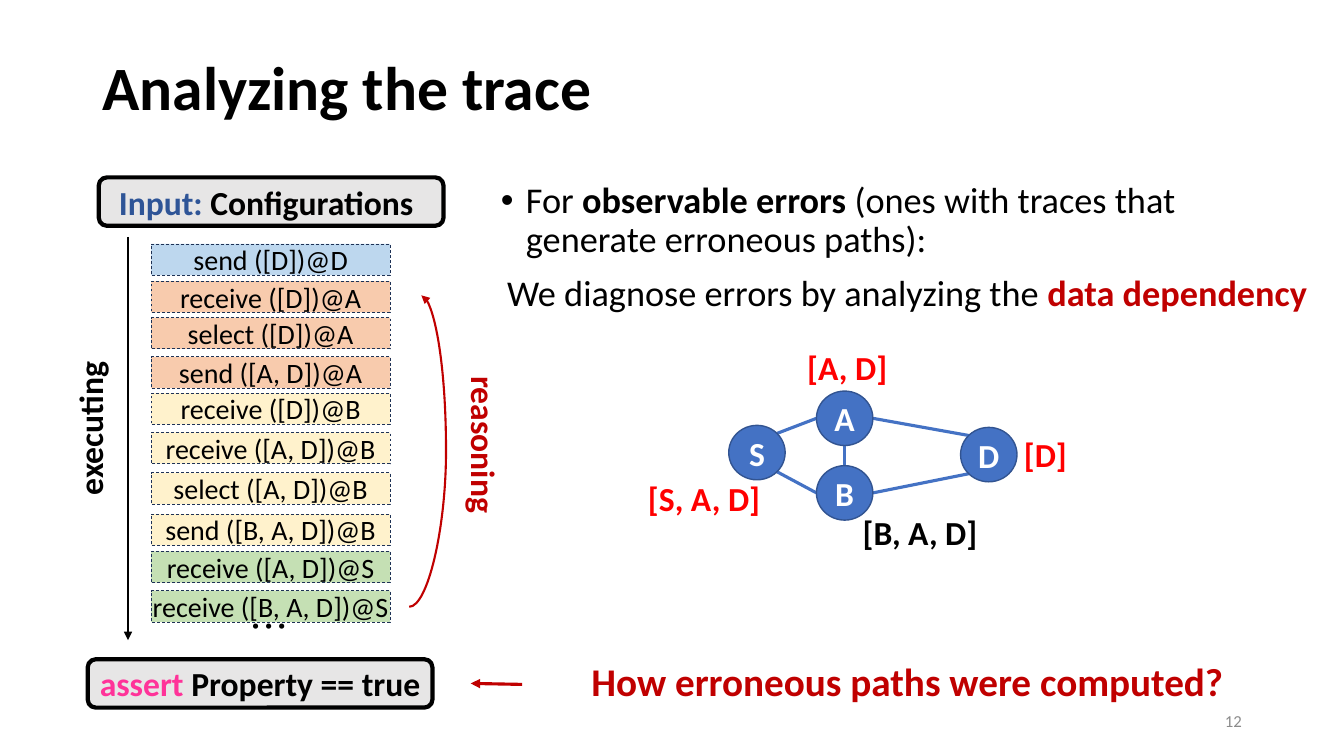
"""Build the slide that explains how a trace is analyzed."""
from lxml import etree
from pptx import Presentation
from pptx import util as u
from pptx.dml.color import RGBColor
from pptx.enum import dml, shapes, text
from pptx.oxml.ns import qn

PX = 9144
BLACK, RED, LABEL_RED, BLUE = "000000", "C00000", "FF0000", "4472C4"
LEFT, CENTER, RIGHT = text.PP_ALIGN.LEFT, text.PP_ALIGN.CENTER, text.PP_ALIGN.RIGHT

STEP_FILLS = {"D": "BDD7EE", "A": "F8CBAD", "B": "FFF2CC", "S": "C5E0B4"}
STEPS = [
    ("send ([D])@D", 242),
    ("receive ([D])@A", 279),
    ("select ([D])@A", 315),
    ("send ([A, D])@A", 354),
    ("receive ([D])@B", 390),
    ("receive ([A, D])@B", 429),
    ("select ([A, D])@B", 469),
    ("send ([B, A, D])@B", 510),
    ("receive ([A, D])@S", 547),
    ("receive ([B, A, D])@S", 586),
]
BANNERS = [
    ((98, 176, 342, 48), (87, 176, 354, 48), ("Input: ", "2F5597"), "Configurations"),
    ((87, 654, 342, 48), (79, 654, 358, 48), ("assert ", "FF3399"), "Property == true"),
]
SIDE_LABELS = [
    ("executing", (12, 399, 154, 50), 270, BLACK),
    ("reasoning", (402, 417, 157, 50), 90, RED),
]
NODE_WIDTH, NODE_HEIGHT = 56, 54
NODES = {"S": (723, 422), "A": (810, 388), "B": (810, 462), "D": (953, 424)}
SITES = {
    "top": (0.5, 0), "bottom": (0.5, 1), "left": (0, 0.5), "right": (1, 0.5),
    "top left": (0.15, 0.15), "top right": (0.85, 0.15),
    "bottom left": (0.15, 0.85), "bottom right": (0.85, 0.85),
}
EDGES = [
    ("S", "top right", "A", "left"),
    ("A", "right", "D", "top left"),
    ("S", "bottom right", "B", "left"),
    ("B", "right", "D", "bottom left"),
    ("B", "top", "A", "bottom"),
]
PATH_LABELS = [
    ("[S, A, D]", (633, 469, 132, 50), LABEL_RED),
    ("[B, A, D]", (846, 503, 135, 50), BLACK),
    ("[A, D]", (791, 339, 100, 50), LABEL_RED),
    ("[D]", (1006, 426, 63, 50), LABEL_RED),
]

presentation = Presentation()
presentation.slide_width, presentation.slide_height = u.Emu(12192000), u.Emu(6858000)
slide = presentation.slides.add_slide(presentation.slide_layouts[6])


def emu(lengths):
    return [u.Emu(round(length * PX)) for length in lengths]


def color(value):
    return RGBColor.from_string(value)


def write(paragraph, runs, size, align=LEFT, font="Calibri"):
    paragraph.alignment = align
    for words, shade, bold in runs:
        run = paragraph.add_run()
        run.text = words
        run.font.size, run.font.name, run.font.bold = u.Pt(size), font, bold
        run.font.color.rgb = color(shade)


def set_frame(frame, margins, anchor, wrap=True):
    frame.word_wrap = wrap
    frame.vertical_anchor = anchor
    (frame.margin_left, frame.margin_top,
     frame.margin_right, frame.margin_bottom) = emu(margins)


def add_text(box, runs, size, align=LEFT, margins=(10, 5, 10, 5),
             anchor=text.MSO_ANCHOR.TOP, wrap=True, font="Calibri"):
    shape = slide.shapes.add_textbox(*emu(box))
    set_frame(shape.text_frame, margins, anchor, wrap)
    write(shape.text_frame.paragraphs[0], runs, size, align, font)
    return shape


def add_block(kind, box, fill, line, width):
    shape = slide.shapes.add_shape(kind, *emu(box))
    shape.shadow.inherit = False
    shape.fill.solid()
    shape.fill.fore_color.rgb = color(fill)
    shape.line.color.rgb = color(line)
    shape.line.width = u.Pt(width)
    set_frame(shape.text_frame, (0, 0, 0, 0), text.MSO_ANCHOR.MIDDLE)
    return shape


def add_line(start, end, shade, width, arrow=False, kind=shapes.MSO_CONNECTOR.STRAIGHT):
    connector = slide.shapes.add_connector(kind, *emu(start + end))
    connector.line.color.rgb = color(shade)
    connector.line.width = u.Pt(width)
    if arrow:
        etree.SubElement(connector.line._get_or_add_ln(), qn("a:tailEnd"), type="triangle")
    etree.SubElement(connector._element.spPr, qn("a:effectLst"))
    return connector


def site(node, name):
    (left, top), (across, down) = NODES[node], SITES[name]
    return left + across * NODE_WIDTH, top + down * NODE_HEIGHT


def add_heading_and_points():
    middle = text.MSO_ANCHOR.MIDDLE
    title = add_text((92, 17, 1150, 145), [("Analyzing the trace", BLACK, True)], 44, anchor=middle)
    title.text_frame.paragraphs[0].line_spacing = 0.9
    add_text((942, 695, 300, 40), [("12", "8C8C8C", False)], 12, RIGHT, anchor=middle)

    points = slide.shapes.add_textbox(*emu((487, 176, 826, 158))).text_frame
    set_frame(points, (10, 5, 10, 5), text.MSO_ANCHOR.TOP)
    first, second = points.paragraphs[0], points.add_paragraph()
    properties = first._p.get_or_add_pPr()
    properties.set("marL", str(25 * PX))
    properties.set("indent", str(-25 * PX))
    etree.SubElement(properties, qn("a:buFont"), typeface="Arial")
    etree.SubElement(properties, qn("a:buChar"), char="•")
    write(first, [("For ", BLACK, False), ("observable errors ", BLACK, True),
                  ("(ones with traces that generate erroneous paths):", BLACK, False)], 25.9)
    write(second, [("We diagnose errors by analyzing the ", BLACK, False),
                   ("data dependency", RED, True)], 25.9, CENTER)
    first.line_spacing = second.line_spacing = 0.9
    second.space_before = u.Pt(10)

    question = add_text((487, 652, 826, 54),
                        [("How erroneous paths were computed?", RED, True)], 28, CENTER)
    question.text_frame.paragraphs[0].line_spacing = 0.9
    add_line((518, 679), (467, 678), RED, 2.25, arrow=True)


def add_trace():
    rounded = shapes.MSO_SHAPE.ROUNDED_RECTANGLE
    for box, text_box, (keyword, shade), rest in BANNERS:
        add_block(rounded, box, "E7E6E6", BLACK, 3)
        add_text(text_box, [(keyword, shade, True), (rest, BLACK, True)], 24, CENTER, (4, 4, 4, 4))
    for words, box, angle, shade in SIDE_LABELS:
        add_text(box, [(words, shade, True)], 24, wrap=False).rotation = angle
    add_line((127, 235), (127, 635), BLACK, 1.5, arrow=True)
    curve = add_line((406, 602), (418, 293), RED, 1.5, True, shapes.MSO_CONNECTOR.CURVE)
    guides = curve._element.spPr.find(qn("a:prstGeom")).get_or_add_avLst()
    etree.SubElement(guides, qn("a:gd"), name="adj1", fmla="val 304100")
    for words, top in STEPS:
        step = add_block(rounded, (150, top, 237, 31), STEP_FILLS[words[-1]], "1E3256", 0.5)
        step.adjustments[0] = 0
        step.line.dash_style = dml.MSO_LINE.DASH
        write(step.text_frame.paragraphs[0], [(words, BLACK, False)], 20, CENTER)
    add_text((242, 598, 44, 47), [("…", BLACK, False)], 28, RIGHT, (0, 0, 0, 0),
             font="Noto Sans CJK SC")


def add_network():
    for words, box, shade in PATH_LABELS:
        add_text(box, [(words, shade, True)], 24, wrap=False)
    for start, start_site, end, end_site in EDGES:
        add_line(site(start, start_site), site(end, end_site), BLUE, 2.25)
    for name, corner in NODES.items():
        node = add_block(shapes.MSO_SHAPE.OVAL, corner + (NODE_WIDTH, NODE_HEIGHT),
                         BLUE, "325491", 1)
        write(node.text_frame.paragraphs[0], [(name, "FFFFFF", True)], 24, CENTER)


def main():
    add_heading_and_points()
    add_trace()
    add_network()
    presentation.save("out.pptx")


if __name__ == "__main__":
    main()
